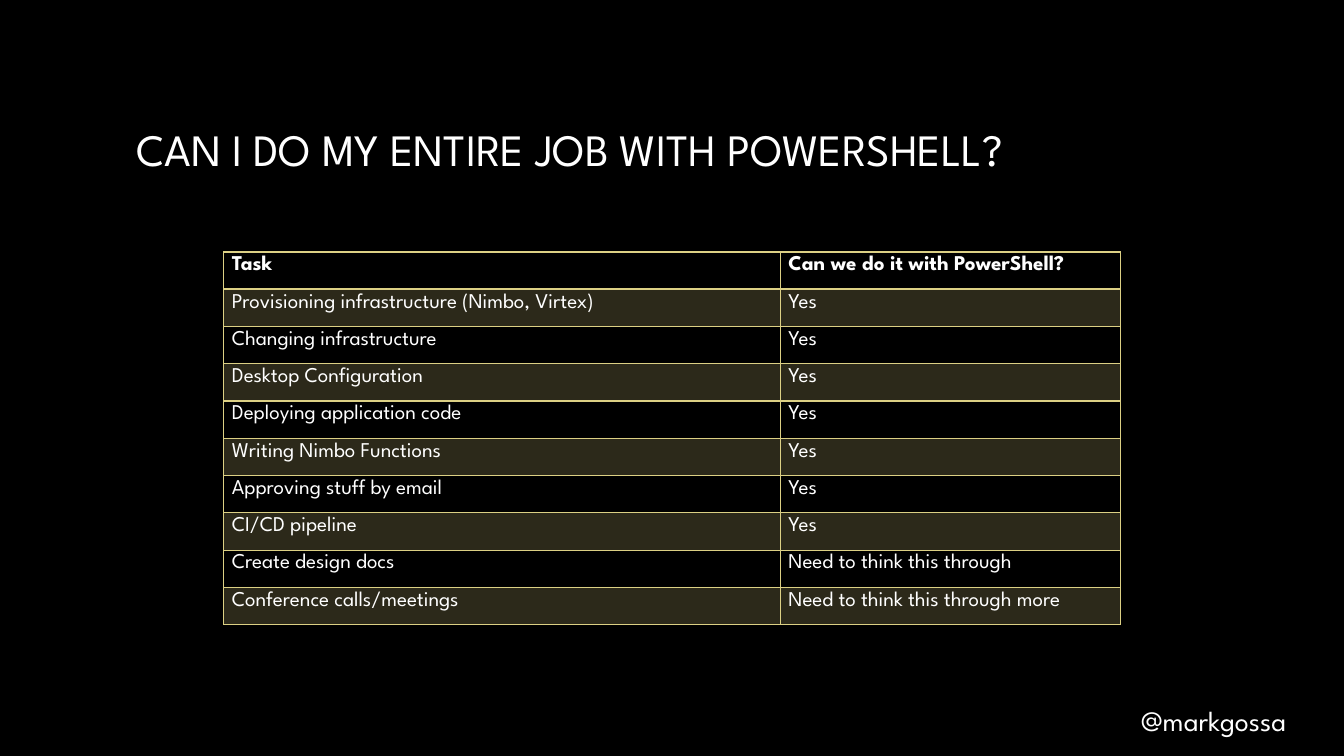
"""Build a slide listing which job tasks PowerShell can cover."""
from pptx import Presentation
from pptx.dml.color import RGBColor
from pptx.enum.text import MSO_ANCHOR, MSO_AUTO_SIZE, PP_ALIGN
from pptx.oxml import parse_xml
from pptx.oxml.ns import nsdecls, qn
from pptx.util import Inches, Pt

TITLE = "CAN I DO MY ENTIRE JOB WITH POWERSHELL?"
HANDLE = "@markgossa"
ROWS = [
    ("Task", "Can we do it with PowerShell?"),
    ("Provisioning infrastructure (Nimbo, Virtex)", "Yes"),
    ("Changing infrastructure", "Yes"),
    ("Desktop Configuration", "Yes"),
    ("Deploying application code", "Yes"),
    ("Writing Nimbo Functions", "Yes"),
    ("Approving stuff by email", "Yes"),
    ("CI/CD pipeline", "Yes"),
    ("Create design docs", "Need to think this through"),
    ("Conference calls/meetings", "Need to think this through more"),
]
COLUMN_WIDTHS = (5.52, 3.37)
ROW_HEIGHT = 0.37
BAND_OPACITY = 20
FONT = "League Spartan"
COLORS = {"background": "000000", "text": "FFFFFF", "fade": "A6A6A6", "gold": "DCD084"}


def color(name):
    """Return a palette colour."""
    return RGBColor.from_string(COLORS[name])


def write(frame, text, size, bold=False, anchor=MSO_ANCHOR.TOP):
    """Put one left-aligned line in a text frame and return its font."""
    frame.word_wrap = True
    frame.vertical_anchor = anchor
    paragraph = frame.paragraphs[0]
    paragraph.alignment = PP_ALIGN.LEFT
    run = paragraph.add_run()
    run.text = text
    run.font.name = FONT
    run.font.size = Pt(size)
    run.font.bold = bold
    run.font.color.rgb = color("text")
    return run.font


def add_border(cell, side, width):
    """Draw one gold edge of a cell."""
    cell._tc.get_or_add_tcPr().append(parse_xml(
        f'<a:ln{side} {nsdecls("a")} w="{Pt(width)}"><a:solidFill>'
        f'<a:srgbClr val="{COLORS["gold"]}"/></a:solidFill></a:ln{side}>'))


def fill_band(cell):
    """Give a cell the translucent gold band."""
    cell.fill.solid()
    cell.fill.fore_color.rgb = color("gold")
    swatch = cell._tc.tcPr.find(qn("a:solidFill"))[0]
    swatch.append(parse_xml(f'<a:alpha {nsdecls("a")} val="{BAND_OPACITY * 1000}"/>'))


def add_title(slide):
    """Place the title with its white to grey gradient."""
    title = slide.shapes.title
    title.left, title.top = Inches(1.25), Inches(0.67)
    title.width, title.height = Inches(10.83), Inches(1.61)
    title.text_frame.auto_size = MSO_AUTO_SIZE.NONE
    font = write(title.text_frame, TITLE, 32, anchor=MSO_ANCHOR.MIDDLE)
    font.fill.gradient()
    font.fill.gradient_angle = 360 - 93
    for stop, name in zip(font.fill.gradient_stops, ("text", "fade")):
        stop.color.rgb = color(name)


def add_task_table(slide):
    """Add the banded task table."""
    table = slide.shapes.add_table(
        len(ROWS), len(COLUMN_WIDTHS), Inches(2.22), Inches(2.5),
        Inches(sum(COLUMN_WIDTHS)), Inches(ROW_HEIGHT * len(ROWS))).table
    for column, width in zip(table.columns, COLUMN_WIDTHS):
        column.width = Inches(width)
    for row_index, texts in enumerate(ROWS):
        table.rows[row_index].height = Inches(ROW_HEIGHT)
        for column_index, text in enumerate(texts):
            cell = table.cell(row_index, column_index)
            cell.margin_left = cell.margin_right = Inches(0.08)
            cell.margin_top = cell.margin_bottom = Inches(0.04)
            write(cell.text_frame, text, 15, bold=row_index == 0)
            add_border(cell, "L", 1)
            add_border(cell, "R", 1)
            add_border(cell, "T", 2 if row_index == 1 else 1)
            add_border(cell, "B", 2 if row_index == 0 else 1)
            if row_index % 2:
                fill_band(cell)
            else:
                cell.fill.background()


def main():
    """Assemble and save the slide."""
    presentation = Presentation()
    presentation.slide_width, presentation.slide_height = Inches(13.33), Inches(7.5)
    slide = presentation.slides.add_slide(presentation.slide_layouts[5])
    slide.background.fill.solid()
    slide.background.fill.fore_color.rgb = color("background")
    handle = slide.shapes.add_textbox(Inches(11.22), Inches(6.93), Inches(2.11), Inches(0.44))
    write(handle.text_frame, HANDLE, 20)
    add_title(slide)
    add_task_table(slide)
    presentation.save("out.pptx")


if __name__ == "__main__":
    main()
